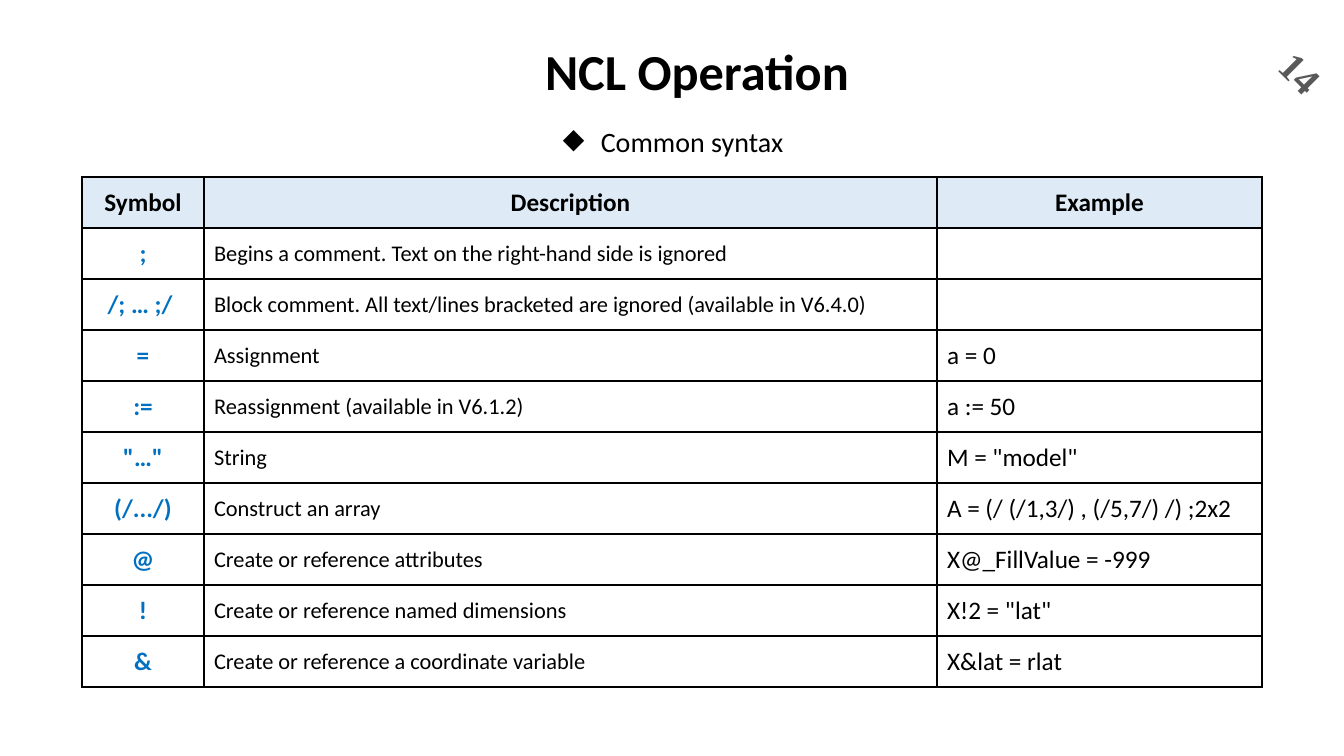
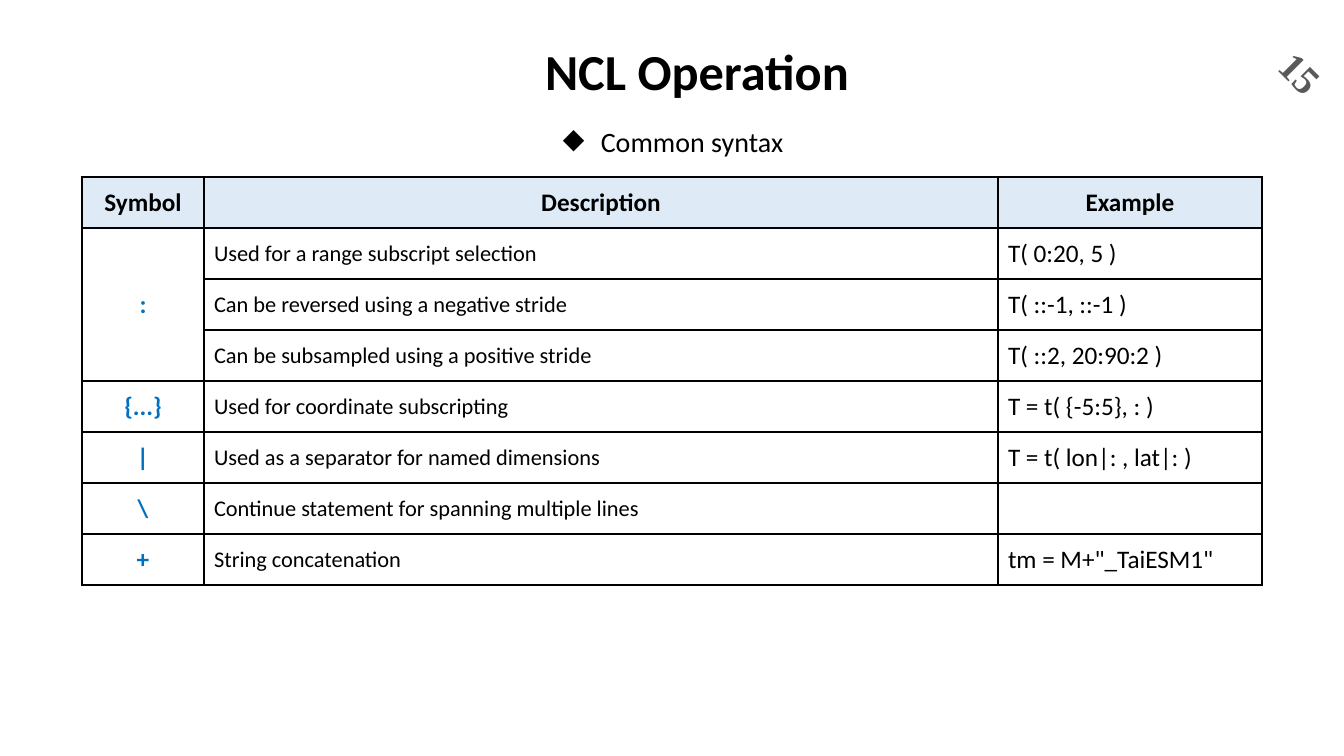
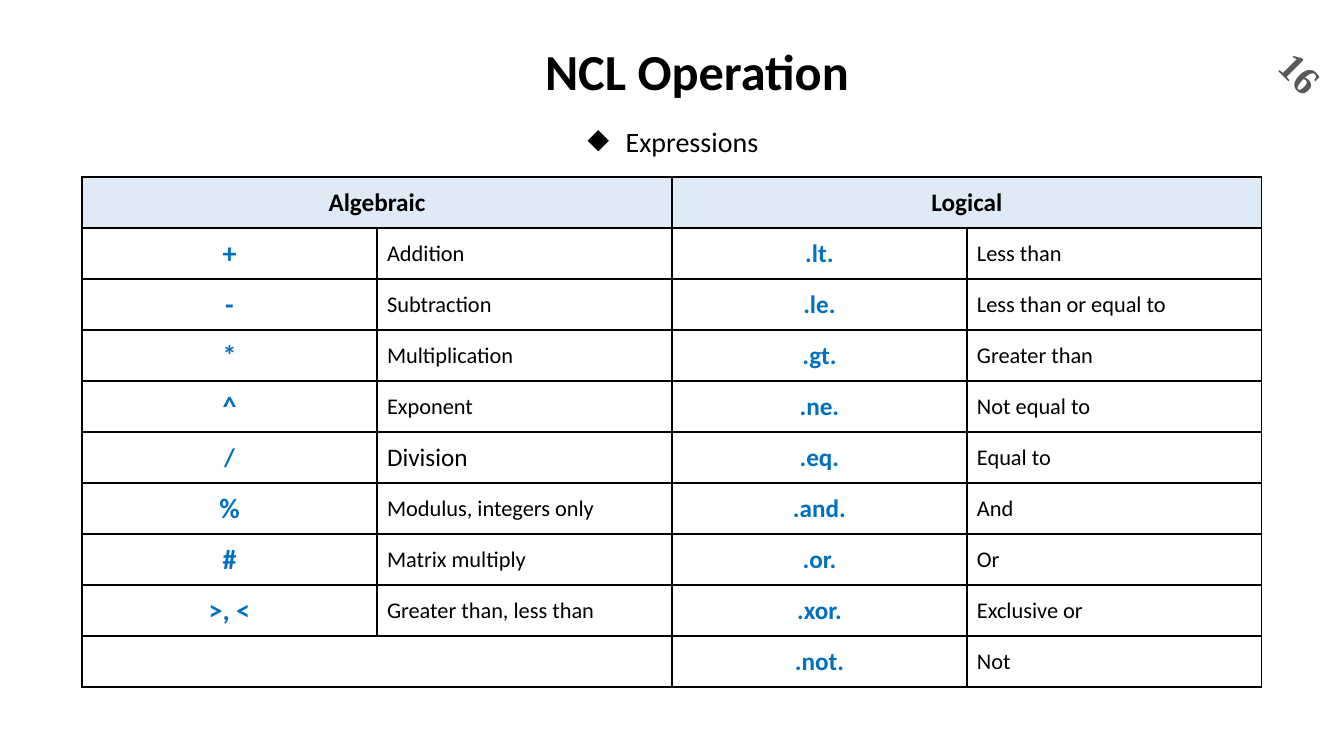
"""Build three slides of NCL syntax and expression tables."""
from lxml import etree
from pptx import Presentation
from pptx.dml.color import RGBColor
from pptx.enum import text
from pptx.oxml import parse_xml
from pptx.oxml.ns import nsdecls, qn
from pptx import util as u

BLACK, WHITE, GRAY = "000000", "FFFFFF", "595959"
BLUE, HEADER_FILL = "0070C0", "DEEBF7"
BODY_FONT, NUMBER_FONT = "Calibri", "Times New Roman"
TABLE_LEFT, TABLE_TOP, TABLE_WIDTH, ROW_HEIGHT = 82, 177, 1180, 51
FIRST_NUMBER = 14


def px(length):
    """Turn pixels into EMU at 100.8 pixels to the inch."""
    return u.Emu(round(length * 914400 / 100.8))


def style(paragraph, size, color=BLACK, bold=False, font=BODY_FONT):
    """Format every run of a paragraph."""
    for span in paragraph.runs:
        span.font.name = font
        span.font.size = u.Pt(size)
        span.font.bold = bold
        span.font.color.rgb = RGBColor.from_string(color)


slides = [
    {
        "topic": "Common syntax",
        "widths": [122, 733, 325],
        "sizes": [18, 16, 18],
        "symbol_columns": [0],
        "merges": [],
        "rows": [
            ["Symbol", "Description", "Example"],
            [";", "Begins a comment. Text on the right-hand side is ignored", ""],
            ["/; … ;/ ", "Block comment. All text/lines bracketed are ignored (available in V6.4.0)", ""],
            ["=", "Assignment", "a = 0"],
            [":=", "Reassignment (available in V6.1.2)", "a := 50"],
            ['"…"', "String", 'M = "model"'],
            ["(/.../)", "Construct an array", "A = (/ (/1,3/) , (/5,7/) /) ;2x2"],
            ["@", "Create or reference attributes", "X@_FillValue = -999"],
            ["!", "Create or reference named dimensions", 'X!2 = "lat"'],
            ["&", "Create or reference a coordinate variable", "X&lat = rlat"],
        ],
    },
    {
        "topic": "Common syntax",
        "widths": [122, 794, 264],
        "sizes": [18, 16, 18],
        "symbol_columns": [0],
        "merges": [(1, 0, 3, 0)],
        "rows": [
            ["Symbol", "Description", "Example"],
            [":", "Used for a range subscript selection", "T( 0:20, 5 )"],
            ["", "Can be reversed using a negative stride", "T( ::-1, ::-1 )"],
            ["", "Can be subsampled using a positive stride", "T( ::2, 20:90:2 )"],
            ["{...}", "Used for coordinate subscripting", "T = t( {-5:5}, : )"],
            ["|", "Used as a separator for named dimensions", "T = t( lon|: , lat|: )"],
            ["\\", "Continue statement for spanning multiple lines", ""],
            ["+", "String concatenation", 'tm = M+"_TaiESM1"'],
        ],
    },
    {
        "topic": "Expressions",
        "widths": [TABLE_WIDTH // 4] * 4,
        "sizes": [20, 16, 18, 16],
        "symbol_columns": [0, 2],
        "merges": [(0, 0, 0, 1), (0, 2, 0, 3), (9, 0, 9, 1)],
        "rows": [
            ["Algebraic", "", "Logical", ""],
            ["+", "Addition", ".lt.", "Less than"],
            ["-", "Subtraction", ".le.", "Less than or equal to"],
            ["*", "Multiplication", ".gt.", "Greater than"],
            ["^", "Exponent", ".ne.", "Not equal to"],
            ["/", "Division", ".eq.", "Equal to"],
            ["%", "Modulus, integers only", ".and.", "And"],
            ["#", "Matrix multiply", ".or.", "Or"],
            [">, <", "Greater than, less than", ".xor.", "Exclusive or"],
            ["", "", ".not.", "Not"],
        ],
    },
]
special_sizes = {"/": 18, "Division": 18}

deck = Presentation()
deck.slide_width, deck.slide_height = px(1344), px(756)

for number, content in enumerate(slides, FIRST_NUMBER):
    page = deck.slides.add_slide(deck.slide_layouts[5])

    title = page.shapes.title
    title.left, title.top, title.width, title.height = px(535), px(35), px(374), px(72)
    frame = title.text_frame
    frame.text = "NCL Operation"
    frame.word_wrap = False
    frame.auto_size = text.MSO_AUTO_SIZE.NONE
    frame.vertical_anchor = text.MSO_ANCHOR.TOP
    frame.paragraphs[0].alignment = text.PP_ALIGN.LEFT
    style(frame.paragraphs[0], 36, bold=True)

    number_box = page.shapes.add_textbox(px(1271), px(43), px(60), px(58))
    number_box.rotation = 45
    frame = number_box.text_frame
    frame.text = str(number)
    frame.word_wrap = False
    frame.vertical_anchor = text.MSO_ANCHOR.MIDDLE
    frame.paragraphs[0].alignment = text.PP_ALIGN.CENTER
    style(frame.paragraphs[0], 28, GRAY, True, NUMBER_FONT)

    topic_box = page.shapes.add_textbox(px(192), px(120), px(962), px(44))
    frame = topic_box.text_frame
    frame.text = content["topic"]
    frame.word_wrap = True
    paragraph = frame.paragraphs[0]
    paragraph.alignment = text.PP_ALIGN.CENTER
    properties = paragraph._p.get_or_add_pPr()
    properties.set("marL", str(px(38)))
    properties.set("indent", str(px(-38)))
    etree.SubElement(properties, qn("a:buChar"), char="◆")
    style(paragraph, 20)

    rows, widths = content["rows"], content["widths"]
    table = page.shapes.add_table(
        len(rows), len(widths), px(TABLE_LEFT), px(TABLE_TOP),
        px(TABLE_WIDTH), px(ROW_HEIGHT * len(rows))).table
    table.first_row = table.horz_banding = False
    for column, width in zip(table.columns, widths):
        column.width = px(width)
    for row in table.rows:
        row.height = px(ROW_HEIGHT)
    for top, left, bottom, right in content["merges"]:
        table.cell(top, left).merge(table.cell(bottom, right))

    for row_index, row in enumerate(rows):
        for column_index, words in enumerate(row):
            cell = table.cell(row_index, column_index)
            header = row_index == 0
            symbol = not header and column_index in content["symbol_columns"]
            cell.vertical_anchor = text.MSO_ANCHOR.MIDDLE
            for side in ("lnL", "lnR", "lnT", "lnB"):
                cell._tc.get_or_add_tcPr().append(parse_xml(
                    f'<a:{side} {nsdecls("a")} w="{u.Pt(1)}"><a:solidFill>'
                    f'<a:srgbClr val="{BLACK}"/></a:solidFill></a:{side}>'))
            cell.fill.solid()
            cell.fill.fore_color.rgb = RGBColor.from_string(HEADER_FILL if header else WHITE)
            if words:
                cell.text_frame.text = words
                paragraph = cell.text_frame.paragraphs[0]
                if header or symbol:
                    paragraph.alignment = text.PP_ALIGN.CENTER
                size = 18 if header else special_sizes.get(words, content["sizes"][column_index])
                style(paragraph, size, BLUE if symbol else BLACK, header or symbol)

deck.save("out.pptx")
